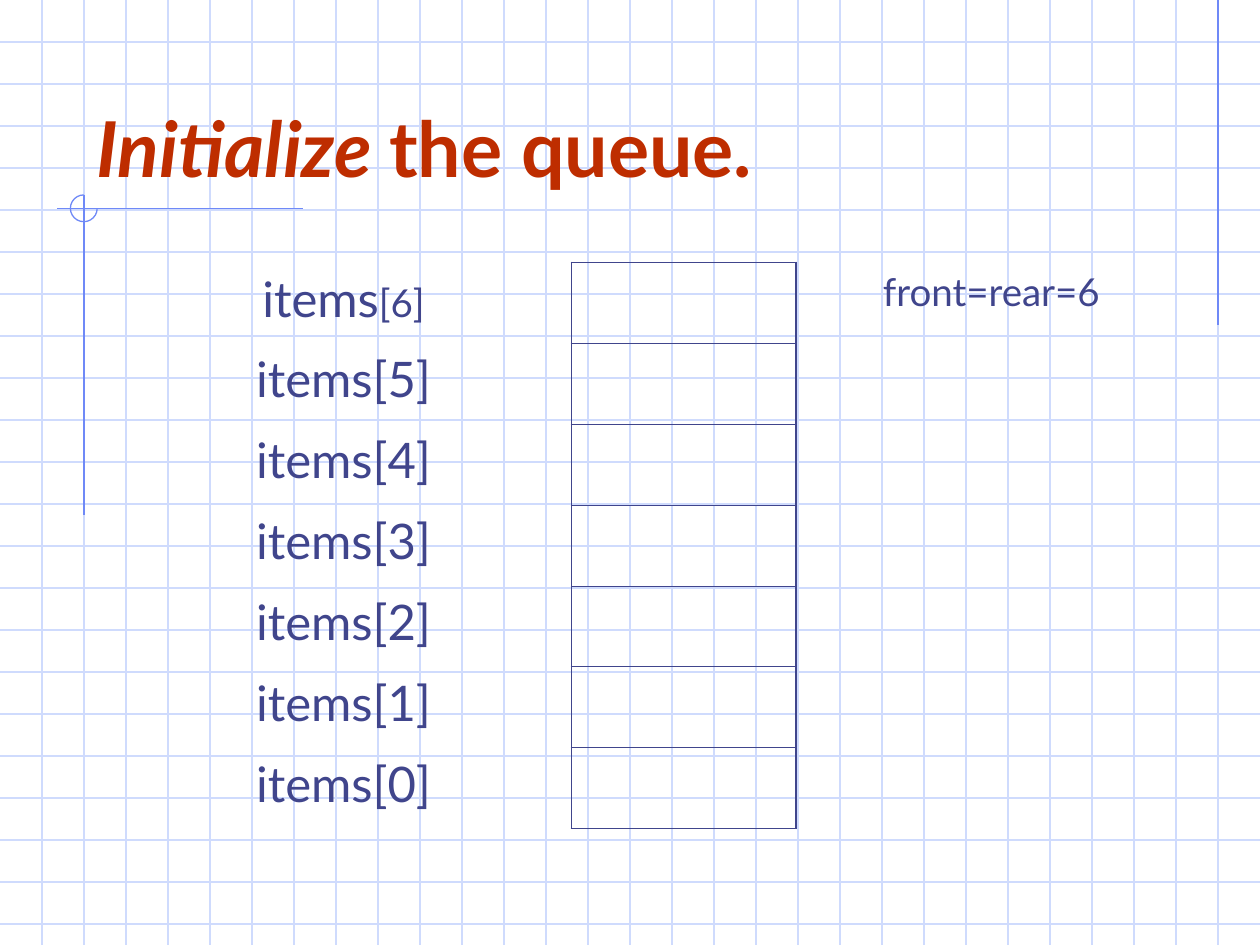
from dataclasses import dataclass

from lxml import etree
from pptx import Presentation
from pptx.dml.color import RGBColor
from pptx.enum.shapes import MSO_CONNECTOR, MSO_SHAPE
from pptx.enum.text import MSO_ANCHOR, PP_ALIGN
from pptx.oxml.ns import qn
from pptx.util import Cm, Pt

STRAIGHT = MSO_CONNECTOR.STRAIGHT
ARC = MSO_SHAPE.ARC
LEFT, CENTER = PP_ALIGN.LEFT, PP_ALIGN.CENTER
BOTTOM = MSO_ANCHOR.BOTTOM
TITLE_ONLY = 5
NO_STYLE_NO_GRID = "{2D5ABB26-0587-4C30-8999-92F81FD0307C}"

WIDTH, HEIGHT = 25.4, 19.05
GRID_STEP = WIDTH / 30


@dataclass(frozen=True)
class Theme:
    font: str = "Lato"
    grid: str = "CFDBFD"
    accent: str = "6F89F7"
    title: str = "BE2D00"
    text: str = "40458C"
    title_size: float = 44
    item_size: float = 28
    note_size: float = 22
    line_width: float = 0.75
    outer_border: float = 1.08
    inner_border: float = 0.45


class QueueSlide:
    def __init__(self, slide, theme):
        self.slide = slide
        self.theme = theme

    def line(self, x1, y1, x2, y2, color):
        connector = self.slide.shapes.add_connector(
            STRAIGHT, Cm(x1), Cm(y1), Cm(x2), Cm(y2))
        self.outline(connector, color)
        etree.SubElement(connector._element.spPr, qn("a:effectLst"))

    def outline(self, shape, color):
        shape.line.color.rgb = RGBColor.from_string(color)
        shape.line.width = Pt(self.theme.line_width)

    def arc(self, x, y, size, end_angle):
        arc = self.slide.shapes.add_shape(ARC, Cm(x), Cm(y), Cm(size), Cm(size))
        arc.adjustments[0] = 0
        arc.adjustments[1] = end_angle * 0.6  # 60000 units a degree
        arc.fill.background()
        arc.shadow.inherit = False
        self.outline(arc, self.theme.accent)

    def add_text(self, paragraph, text, size, color, **style):
        run = paragraph.add_run()
        run.text = text
        run.font.color.rgb = RGBColor.from_string(color)
        formats = {"name": self.theme.font, "size": Pt(size), **style}
        for name, value in formats.items():
            setattr(run.font, name, value)

    def title(self, x, y, width, height, parts):
        title = self.slide.shapes.title
        box = {"left": x, "top": y, "width": width, "height": height}
        for name, value in box.items():
            setattr(title, name, Cm(value))
        title.text_frame.vertical_anchor = BOTTOM
        paragraph = title.text_frame.paragraphs[0]
        paragraph.alignment = LEFT
        for text, italic in parts:
            self.add_text(paragraph, text, self.theme.title_size,
                          self.theme.title, bold=True, italic=italic)
        # Bring the title in front of the grid
        self.slide.shapes._spTree.append(title._element)

    def table(self, x, y, column_widths, row_height, row_count):
        frame = self.slide.shapes.add_table(
            row_count, len(column_widths), Cm(x), Cm(y),
            Cm(sum(column_widths)), Cm(row_height * row_count))
        table = frame.table
        table.first_row = table.horz_banding = False
        table._tbl.tblPr.find(qn("a:tableStyleId")).text = NO_STYLE_NO_GRID
        for column, width in zip(table.columns, column_widths):
            column.width = Cm(width)
        for row in table.rows:
            row.height = Cm(row_height)
        for cell in table.iter_cells():
            cell.fill.background()
        return table

    def cell_text(self, cell, parts, space_before):
        paragraph = cell.text_frame.paragraphs[0]
        paragraph.alignment = CENTER
        paragraph.space_before = Pt(space_before)
        for text, size in parts:
            self.add_text(paragraph, text, size, self.theme.text)

    def cell_borders(self, cell, **widths):
        properties = cell._tc.get_or_add_tcPr()
        # Borders come before the fill, in the order L, R, T, B
        for index, (side, width) in enumerate(widths.items()):
            border = etree.Element(qn(f"a:ln{side}"), w=str(int(Pt(width))))
            fill = etree.SubElement(border, qn("a:solidFill"))
            etree.SubElement(fill, qn("a:srgbClr"), val=self.theme.text)
            properties.insert(index, border)


def main():
    presentation = Presentation()
    presentation.slide_width, presentation.slide_height = Cm(WIDTH), Cm(HEIGHT)
    theme = Theme()
    page = QueueSlide(
        presentation.slides.add_slide(presentation.slide_layouts[TITLE_ONLY]), theme)

    # Squared-paper background
    for step in range(1, 23):
        page.line(0, step * GRID_STEP, WIDTH, step * GRID_STEP, theme.grid)
    for step in range(1, 30):
        page.line(step * GRID_STEP, 0, step * GRID_STEP, HEIGHT, theme.grid)

    # Accent lines and the open circle at their crossing
    margin = 2 * GRID_STEP
    page.line(WIDTH - GRID_STEP, 0, WIDTH - GRID_STEP, 6.55, theme.accent)
    page.line(6.1, 4.2, 1.14, 4.2, theme.accent)
    page.line(margin, 3.93, margin, 10.39, theme.accent)
    page.arc(1.42, 3.93, 0.54, end_angle=270)

    page.title(margin, 0.85, 21.59, 3.17,
               [("Initialize ", True), ("the queue.", False)])

    # Queue: item names, storage cells, pointer state
    capacity = 7
    queue = page.table(2.33, 5.29, [9.19, 4.53, 7.87], 1.63, capacity)
    outer, inner = theme.outer_border, theme.inner_border
    for row in range(capacity):
        index = capacity - 1 - row
        first, last = row == 0, index == 0
        name, storage, state = (queue.cell(row, column) for column in range(3))
        if first:
            page.cell_text(name, [("items", theme.item_size),
                                  (f"[{index}]", theme.note_size)], 5.5)
            page.cell_text(state, [(f"front=rear={index}", theme.note_size)], 5.5)
        else:
            page.cell_text(name, [(f"items[{index}]", theme.item_size)], 7)
        page.cell_borders(name, R=outer)
        page.cell_borders(storage, L=outer, R=outer,
                          T=outer if first else inner,
                          B=outer if last else inner)
        page.cell_borders(state, L=outer)

    presentation.save("out.pptx")


if __name__ == "__main__":
    main()
